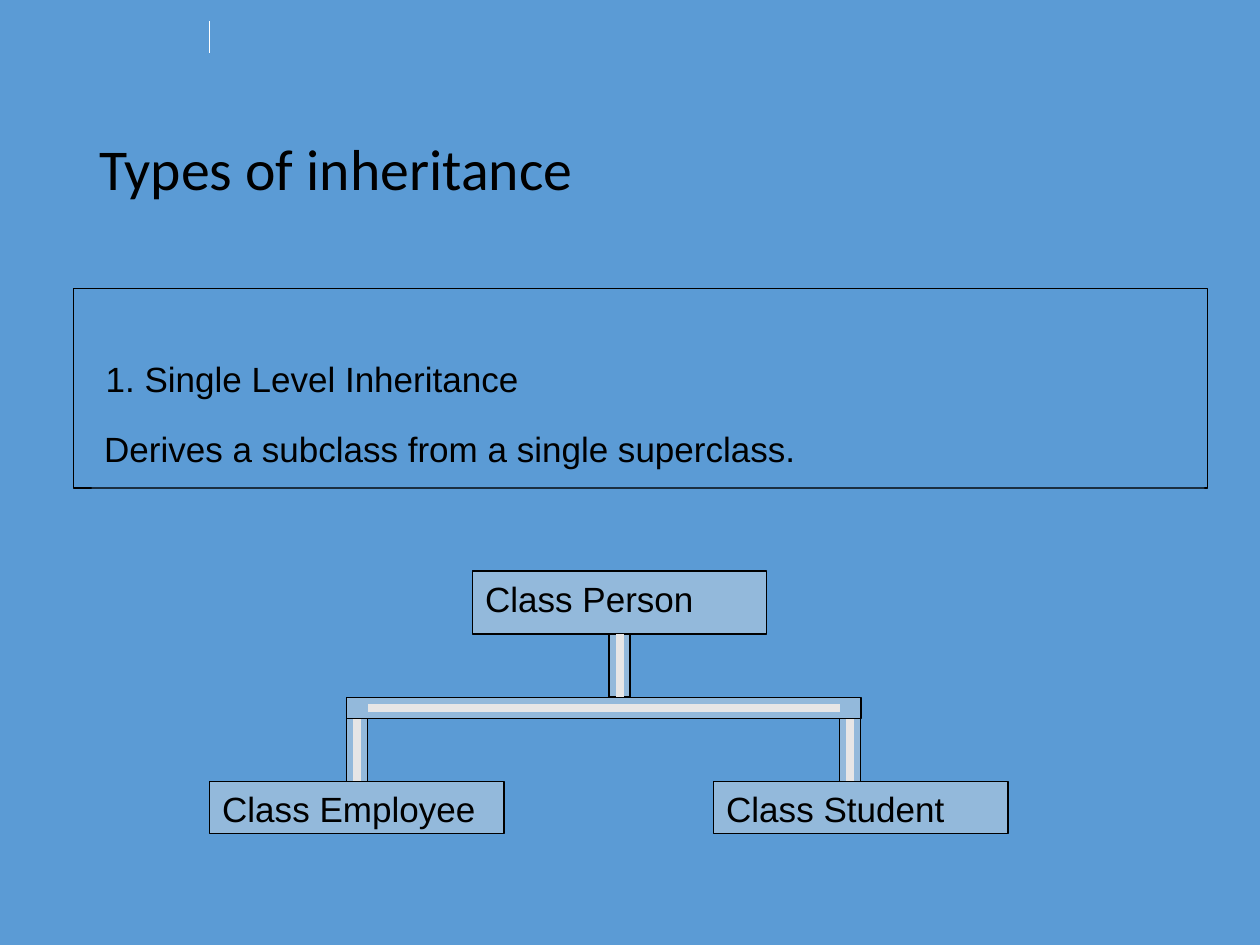
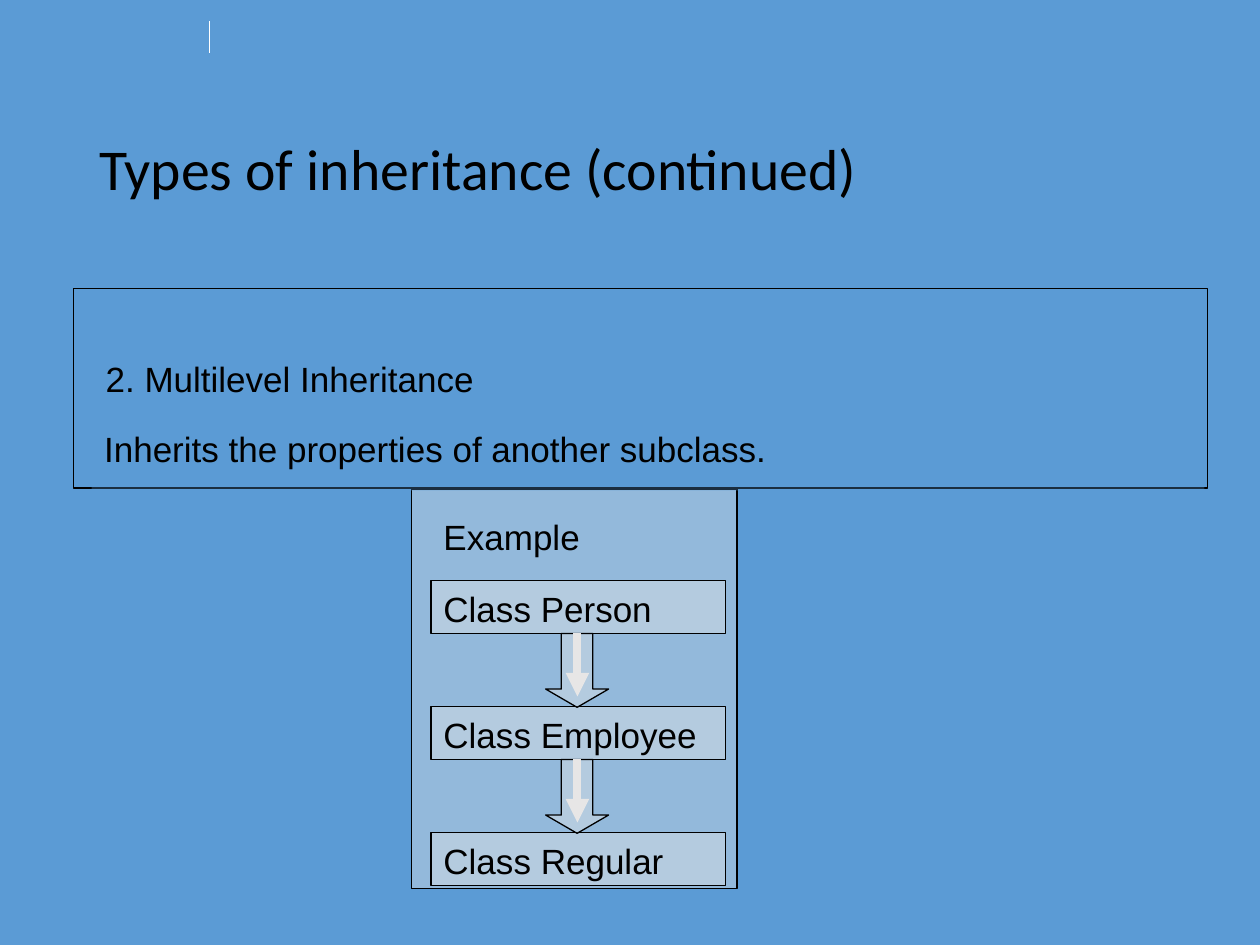
from lxml import etree
from pptx import Presentation
from pptx.dml.color import RGBColor
from pptx.enum import shapes, text
from pptx.oxml import ns
from pptx.util import Cm, Pt

BLUE = RGBColor(0x5B, 0x9B, 0xD5)
GREY = RGBColor(0xE7, 0xE6, 0xE6)
BLACK = RGBColor(0, 0, 0)
WHITE = RGBColor(255, 255, 255)
RECT = shapes.MSO_SHAPE.RECTANGLE
ARROW = shapes.MSO_SHAPE.DOWN_ARROW
MIDDLE = text.MSO_ANCHOR.MIDDLE
TOP = text.MSO_ANCHOR.TOP
BOX_W, BOX_H = 5.93, 1.06
LINK_H, BAR_W = 1.27, 0.42


def write(shape, words, size=20, font="Arial", anchor=TOP,
          left=0.25, top=0.13, spacing=1.0):
    frame = shape.text_frame
    frame.word_wrap = True
    frame.vertical_anchor = anchor
    frame.margin_left, frame.margin_right = Cm(left), Cm(0.25)
    frame.margin_top, frame.margin_bottom = Cm(top), Cm(0.13)
    para = frame.paragraphs[0]
    para.alignment = text.PP_ALIGN.LEFT
    para.line_spacing = spacing
    run = para.add_run()
    run.text = words
    run.font.size = Pt(size)
    run.font.name = font
    run.font.color.rgb = BLACK


class Deck:
    def __init__(self):
        self.show = Presentation()
        self.show.slide_width, self.show.slide_height = Cm(25.4), Cm(19.05)
        self.slide = None

    def start(self, title):
        self.slide = self.show.slides.add_slide(self.show.slide_layouts[6])
        fill = self.slide.background.fill
        fill.solid()
        fill.fore_color.rgb = BLUE
        self.line(4.23, 1.06, 4.23, 0.42, WHITE, 0.75)
        self.label(title, 1.75, 1.02, 21.92, 3.68, size=33, font="Calibri",
                   anchor=MIDDLE, top=1.33, spacing=0.9)

    def label(self, words, x, y, w, h, **style):
        box = self.slide.shapes.add_textbox(Cm(x), Cm(y), Cm(w), Cm(h))
        write(box, words, **style)

    def shape(self, x, y, w, h, kind=RECT, color=GREY, alpha=40, edge=True):
        item = self.slide.shapes.add_shape(kind, Cm(x), Cm(y), Cm(w), Cm(h))
        item.shadow.inherit = False
        item.fill.solid()
        item.fill.fore_color.rgb = color
        tint = item.fill._xPr.find(ns.qn("a:solidFill"))[0]
        etree.SubElement(tint, ns.qn("a:alpha"), val=str(alpha * 1000))
        if edge:
            item.line.color.rgb = BLACK
            item.line.width = Pt(0.75)
        else:
            item.line.fill.background()
        return item

    def line(self, x1, y1, x2, y2, color=GREY, width=4.5, head=False):
        item = self.slide.shapes.add_connector(
            shapes.MSO_CONNECTOR.STRAIGHT, Cm(x1), Cm(y1), Cm(x2), Cm(y2))
        item.line.color.rgb = color
        item.line.width = Pt(width)
        if head:
            etree.SubElement(item.line._get_or_add_ln(),
                             ns.qn("a:tailEnd"), type="triangle")
        etree.SubElement(item._element.spPr, ns.qn("a:effectLst"))

    def panel(self, head, body):
        write(self.shape(1.48, 5.82, 22.86, 4.02, color=BLUE), head,
              left=0.65, top=1.38)
        write(self.shape(1.85, 8.19, 22.43, 1.7, color=BLUE, alpha=30,
                         edge=False), body, anchor=MIDDLE)

    def node(self, name, x, y, h=BOX_H):
        write(self.shape(x, y, BOX_W, h), "Class " + name)

    def bar(self, mid, y):
        self.shape(mid - BAR_W / 2, y, BAR_W, LINK_H)
        self.line(mid, y, mid, y + LINK_H)

    def arrow(self, mid, y):
        item = self.shape(mid - 0.64, y, 1.27, 1.49, kind=ARROW)
        item.adjustments[0], item.adjustments[1] = 0.5, 0.29
        self.line(mid, y, mid, y + LINK_H, head=True)


def single(deck):
    deck.start("Types of inheritance")
    deck.panel("1. Single Level Inheritance",
               "Derives a subclass from a single superclass.")
    deck.node("Person", 9.53, 11.51, h=1.27)
    deck.node("Employee", 4.23, 15.75)
    deck.node("Student", 14.39, 15.75)
    for mid, y in ((12.49, 12.78), (17.14, 14.48), (7.2, 14.48)):
        deck.bar(mid, y)
    deck.shape(6.99, 14.06, 10.37, BAR_W)
    deck.line(16.93, 14.27, 7.41, 14.27)


def multi(deck):
    deck.start("Types of inheritance (continued)")
    deck.shape(8.3, 9.86, 6.56, 8.05)
    deck.label("Example", 8.69, 10.26, BOX_W, BOX_H)
    deck.panel("2. Multilevel Inheritance",
               "Inherits the properties of another subclass.")
    top, step = 11.71, 2.54
    for i, name in enumerate(("Person", "Employee", "Regular")):
        deck.node(name, 8.69, top + i * step)
    for i in range(2):
        deck.arrow(11.64, top + BOX_H + i * step)


def main():
    deck = Deck()
    single(deck)
    multi(deck)
    deck.show.save("out.pptx")


if __name__ == "__main__":
    main()
